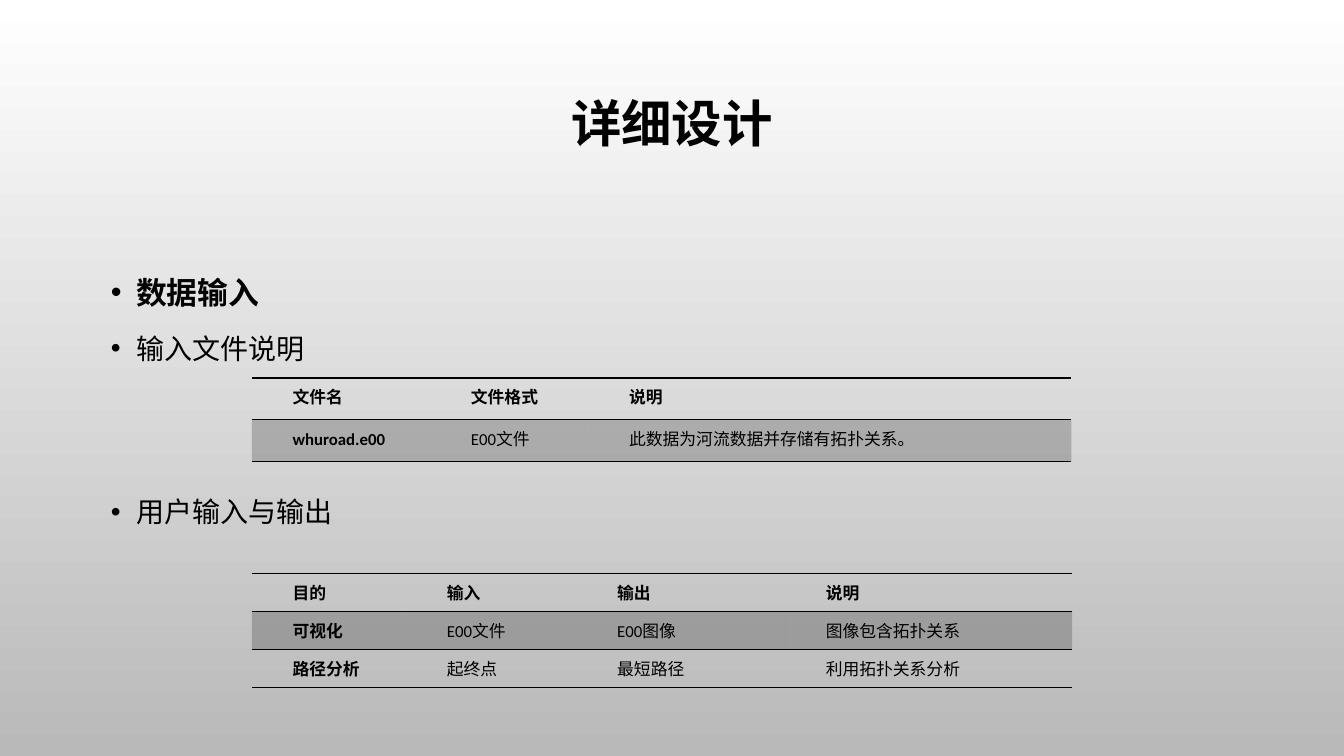
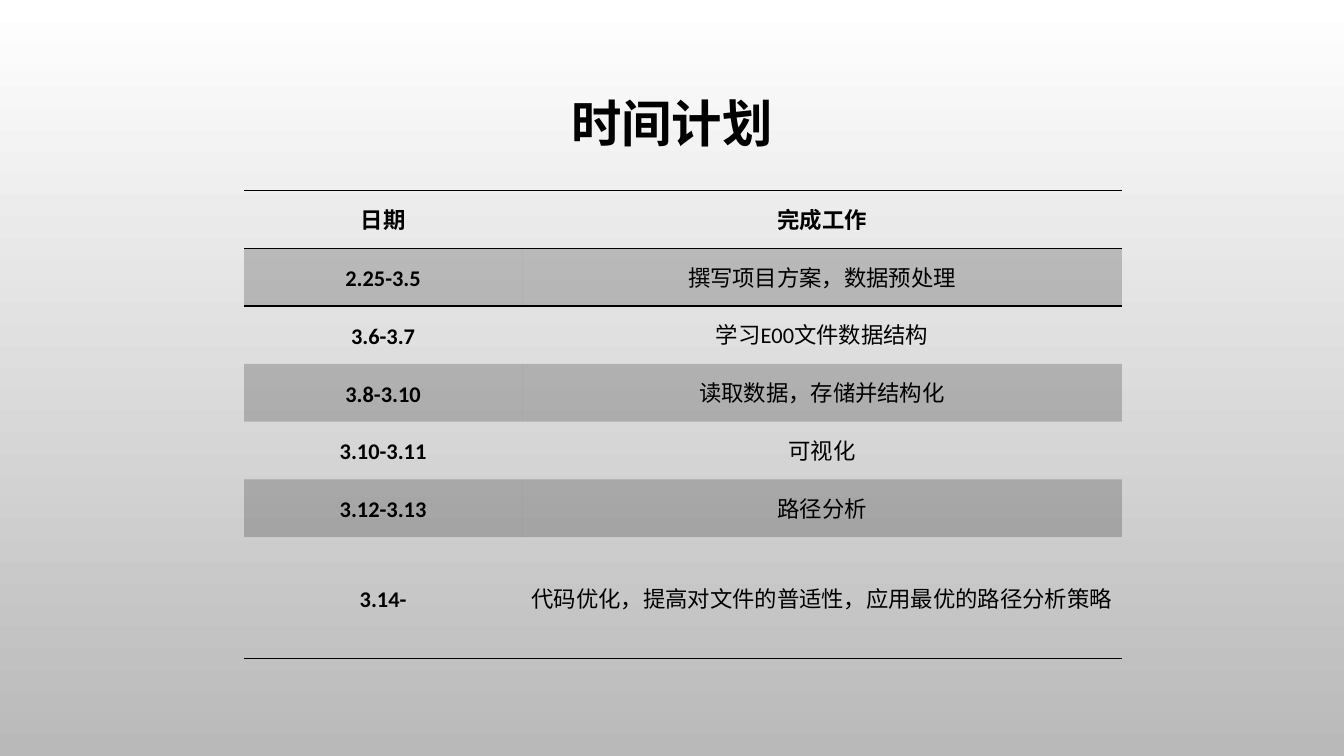
from lxml.etree import SubElement
from pptx import Presentation
from pptx.dml.color import RGBColor
from pptx.enum.text import MSO_ANCHOR, MSO_AUTO_SIZE, PP_ALIGN
from pptx.oxml.ns import qn
from pptx.util import Pt

COLORS = {"ink": "000000", "top": "FFFFFF", "bottom": "B9B9B9"}
FONT = "Calibri"
PLAIN_TABLE_STYLE = "{2D5ABB26-0587-4C30-8999-92F81FD0307C}"


def write(paragraph, text, size=12, bold=False, align=None, spacing=None,
          before=0, margin=0, indent=0):
    paragraph.text = text
    paragraph.alignment = align
    paragraph.line_spacing = spacing
    paragraph.space_before = Pt(before)
    properties = paragraph._p.get_or_add_pPr()
    properties.set("marL", str(Pt(margin)))
    properties.set("indent", str(Pt(indent)))
    font = paragraph.font
    for target in [font] + [run.font for run in paragraph.runs]:
        target.name = FONT
        target.size = Pt(size)
        target.bold = bold
        target.color.rgb = RGBColor.from_string(COLORS["ink"])


class Deck:
    """Hold the shared style and the slide being built."""

    def __init__(self):
        self.presentation = Presentation()
        self.presentation.slide_width = Pt(960)
        self.presentation.slide_height = Pt(540)
        self.slide = None
        fill = self.presentation.slide_master.background.fill
        fill.gradient()
        fill.gradient_angle = 270
        for stop, name in zip(fill.gradient_stops, ("top", "bottom")):
            stop.color.rgb = RGBColor.from_string(COLORS[name])

    def place(self, shape, left, top, width, height):
        shape.left, shape.top = Pt(left), Pt(top)
        shape.width, shape.height = Pt(width), Pt(height)
        shape.text_frame.word_wrap = True
        shape.text_frame.auto_size = MSO_AUTO_SIZE.NONE
        return shape.text_frame

    def add_slide(self, title, layout):
        layouts = self.presentation.slide_layouts
        self.slide = self.presentation.slides.add_slide(layouts.get_by_name(layout))
        frame = self.place(self.slide.shapes.title, 72, 49, 816, 126)
        frame.vertical_anchor = MSO_ANCHOR.MIDDLE
        frame.margin_bottom = Pt(48)
        write(frame.paragraphs[0], title, size=36, bold=True,
              align=PP_ALIGN.CENTER, spacing=0.9)

    def add_list(self, items):
        frame = self.place(self.slide.placeholders[1], 72, 186.5, 816, 269)
        frame.vertical_anchor = MSO_ANCHOR.TOP
        for index, (text, size, bold, before) in enumerate(items):
            paragraph = frame.add_paragraph() if index else frame.paragraphs[0]
            write(paragraph, text, size=size, bold=bold, spacing=1.2,
                  before=before, margin=18, indent=-18)

    def add_border(self, cell, side):
        line = SubElement(cell._tc.get_or_add_tcPr(), qn(f"a:{side}"), w=str(Pt(1)))
        solid = SubElement(line, qn("a:solidFill"))
        SubElement(solid, qn("a:srgbClr"), val=COLORS["ink"])

    def shade(self, cell):
        cell.fill.solid()
        cell.fill.fore_color.rgb = RGBColor.from_string(COLORS["ink"])
        color = cell._tc.tcPr.find(f".//{qn('a:solidFill')}[last()]")
        color = cell._tc.tcPr.findall(qn("a:solidFill"))[-1][0]
        SubElement(color, qn("a:alpha"), val="20000")

    def add_table(self, left, top, widths, heights, rows, anchor=MSO_ANCHOR.TOP, **style):
        frame = self.slide.shapes.add_table(
            len(rows), len(widths), Pt(left), Pt(top), Pt(sum(widths)), Pt(sum(heights)))
        table = frame.table
        table.horz_banding = False
        table._tbl.tblPr.find(qn("a:tableStyleId")).text = PLAIN_TABLE_STYLE
        for column, width in zip(table.columns, widths):
            column.width = Pt(width)
        for row, height in zip(table.rows, heights):
            row.height = Pt(height)
        last = len(rows) - 1
        for row_index, texts in enumerate(rows):
            for column_index, text in enumerate(texts):
                cell = table.cell(row_index, column_index)
                cell.vertical_anchor = anchor
                cell.margin_left = cell.margin_right = Pt(5)
                cell.margin_top = cell.margin_bottom = 0
                write(cell.text_frame.paragraphs[0], text, spacing=Pt(22),
                      bold=row_index == 0 or column_index == 0, **style)
                if row_index == 0:
                    self.add_border(cell, "lnT")
                if row_index == 1:
                    self.add_border(cell, "lnT")
                if row_index in (0, last):
                    self.add_border(cell, "lnB")
                if row_index % 2:
                    self.shade(cell)
                else:
                    cell.fill.background()


def main():
    deck = Deck()
    indented = {"align": PP_ALIGN.JUSTIFY, "indent": 24}

    deck.add_slide("详细设计", "Title and Content")
    deck.add_list([
        ("数据输入", 22, True, 0),
        ("输入文件说明", 20, False, 10),
        ("用户输入与输出", 20, False, 88),
    ])
    deck.add_table(180, 270, [127.4, 113, 345], [29.8] * 2, [
        ("文件名", "文件格式", "说明"),
        ("whuroad.e00", "E00文件", "此数据为河流数据并存储有拓扑关系。"),
    ], **indented)
    deck.add_table(180, 409.6, [110.2, 121.7, 149, 205], [27.2] * 3, [
        ("目的", "输入", "输出", "说明"),
        ("可视化", "E00文件", "E00图像", "图像包含拓扑关系"),
        ("路径分析", "起终点", "最短路径", "利用拓扑关系分析"),
    ], **indented)

    deck.add_slide("时间计划", "Title Only")
    deck.add_table(174.3, 136, [198.7, 428.4], [41.3] * 6 + [87], [
        ("日期", "完成工作"),
        ("2.25-3.5", "撰写项目方案，数据预处理"),
        ("3.6-3.7", "学习E00文件数据结构"),
        ("3.8-3.10", "读取数据，存储并结构化"),
        ("3.10-3.11", "可视化"),
        ("3.12-3.13", "路径分析"),
        ("3.14-", "代码优化，提高对文件的普适性，应用最优的路径分析策略"),
    ], anchor=MSO_ANCHOR.MIDDLE, size=16, align=PP_ALIGN.CENTER)

    deck.presentation.save("out.pptx")


if __name__ == "__main__":
    main()
